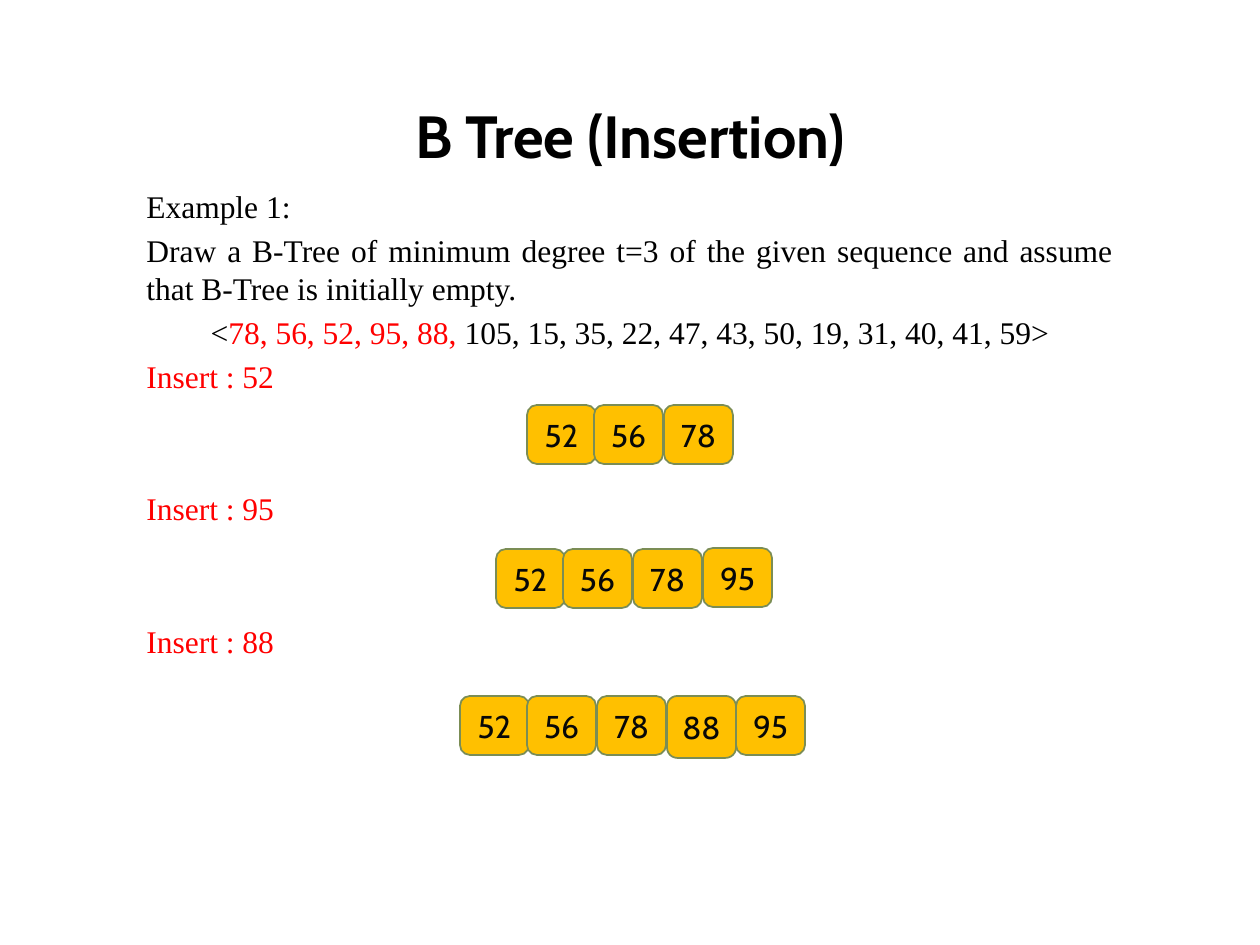
from pptx import Presentation
from pptx.dml.color import RGBColor
from pptx.enum.shapes import MSO_SHAPE
from pptx.enum.text import MSO_ANCHOR, PP_ALIGN
from pptx.util import Emu, Pt

ROUNDED = MSO_SHAPE.ROUNDED_RECTANGLE
TOP, MIDDLE = MSO_ANCHOR.TOP, MSO_ANCHOR.MIDDLE
LEFT, CENTER, JUSTIFY = PP_ALIGN.LEFT, PP_ALIGN.CENTER, PP_ALIGN.JUSTIFY

BLACK, RED, INK = "000000", "FF0000", "080808"
GOLD, OLIVE = "FFC000", "7B8D55"
SERIF, SANS = "Times New Roman", "Cabin"
LINE, GAP = 21.6, 3.6
ROW_GAP = 3 * GAP + 2 * LINE

TITLE = "B Tree (Insertion)"
BODY = [
    (JUSTIFY, 0, [("Example 1:", BLACK)]),
    (JUSTIFY, GAP, [("Draw a B-Tree of minimum degree t=3 of the given sequence "
                     "and assume that B-Tree is initially empty.", BLACK)]),
    (CENTER, GAP, [("<", BLACK), ("78, 56, 52, 95, 88, ", RED),
                   ("105, 15, 35, 22, 47, 43, 50, 19, 31, 40, 41, 59>", BLACK)]),
    (LEFT, GAP, [("Insert : 52", RED)]),
    (LEFT, ROW_GAP, [("Insert : 95", RED)]),
    (LEFT, ROW_GAP, [("Insert : 88", RED)]),
]

KEY_W, KEY_H = 69, 59
KEY_OFFSETS = [0, 67, 137, 207, 276]
NODES = [
    (527, 405, [("52", 0, 0), ("56", 0, 0), ("78", 0, 0)]),
    (496, 549, [("52", 0, 0), ("56", 0, 0), ("78", 0, 0), ("95", -1, 0)]),
    (460, 696, [("52", 0, 0), ("56", 0, 0), ("78", 0, 0), ("88", 0, 3), ("95", 0, 0)]),
]


def px(n):
    return Emu(n * 914400 // 126)


def color(value):
    return RGBColor.from_string(value)


def write(p, text, size=18, font=SERIF, ink=BLACK, bold=False, align=None):
    if align is not None:
        p.alignment = align
    r = p.add_run()
    r.text = text
    r.font.size = Pt(size)
    r.font.name = font
    r.font.bold = bold
    r.font.color.rgb = color(ink)


def add_text_box(s, x, y, w, h, anchor):
    tf = s.shapes.add_textbox(px(x), px(y), px(w), px(h)).text_frame
    tf.word_wrap = True
    tf.vertical_anchor = anchor
    return tf


def add_body(s):
    tf = add_text_box(s, 134, 180, 992, 639, TOP)
    tf.margin_top = px(7)
    for i, (align, before, runs) in enumerate(BODY):
        p = tf.add_paragraph() if i else tf.paragraphs[0]
        p.space_before = Pt(before)
        p.line_spacing = Pt(LINE)
        for text, ink in runs:
            write(p, text, ink=ink, align=align)


def add_node(s, x, y, keys):
    group = s.shapes.add_group_shape()
    for offset, (key, shift, extra) in zip(KEY_OFFSETS, keys):
        sp = group.shapes.add_shape(ROUNDED, px(x + offset), px(y + shift),
                                    px(KEY_W), px(KEY_H + extra))
        sp.shadow.inherit = False
        sp.fill.solid()
        sp.fill.fore_color.rgb = color(GOLD)
        sp.line.color.rgb = color(OLIVE)
        sp.line.width = Pt(1)
        tf = sp.text_frame
        tf.margin_left = tf.margin_right = 0
        tf.margin_top = tf.margin_bottom = 0
        tf.word_wrap = False
        tf.vertical_anchor = MIDDLE
        write(tf.paragraphs[0], key, font=SANS, ink=INK, align=CENTER)


def main():
    prs = Presentation()
    prs.slide_width, prs.slide_height = px(1260), px(945)
    s = prs.slides.add_slide(prs.slide_layouts[6])
    title = add_text_box(s, 63, 85, 1134, 99, MIDDLE)
    write(title.paragraphs[0], TITLE, size=34, font=SANS, bold=True, align=CENTER)
    add_body(s)
    for x, y, keys in NODES:
        add_node(s, x, y, keys)
    prs.save("out.pptx")


if __name__ == "__main__":
    main()
